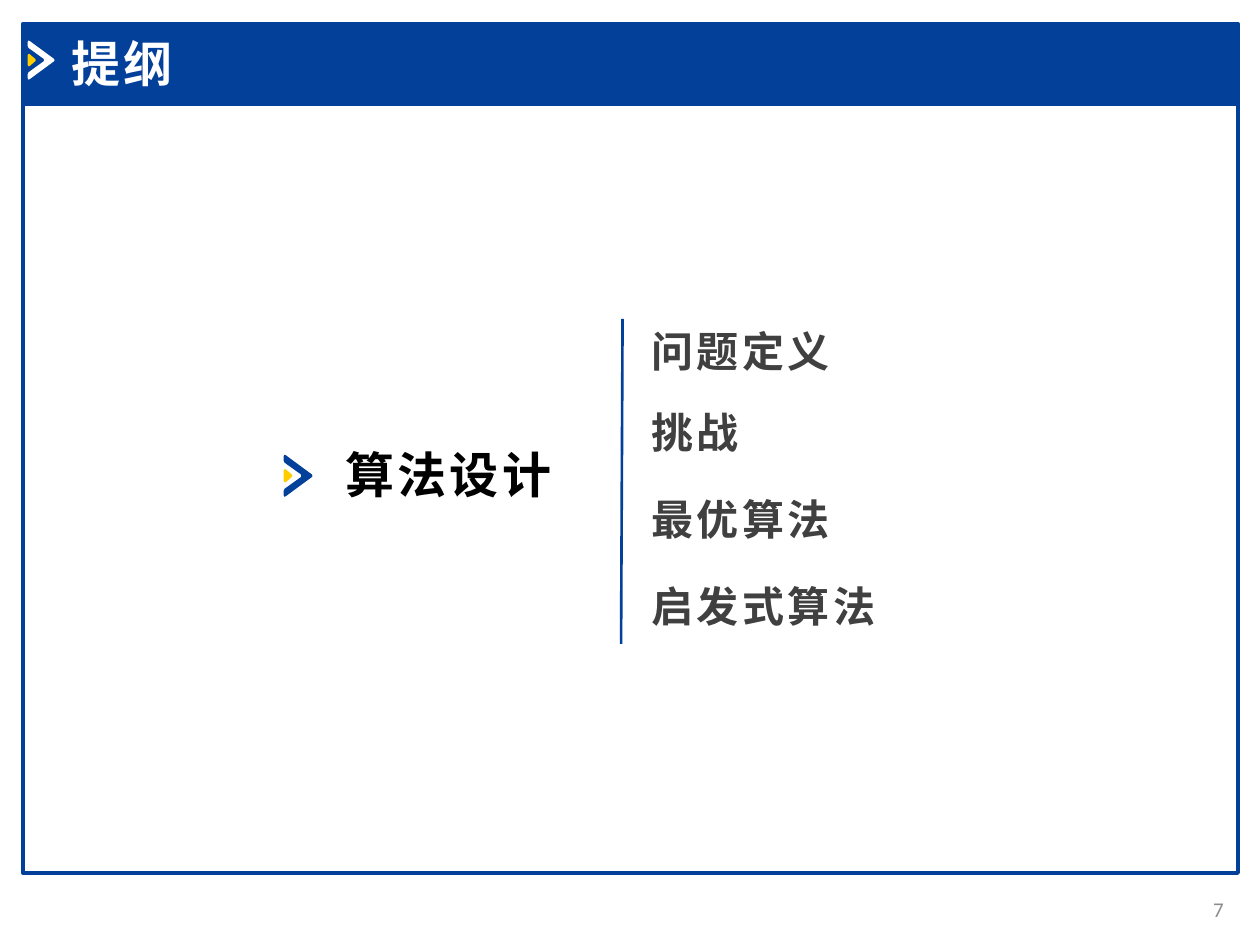
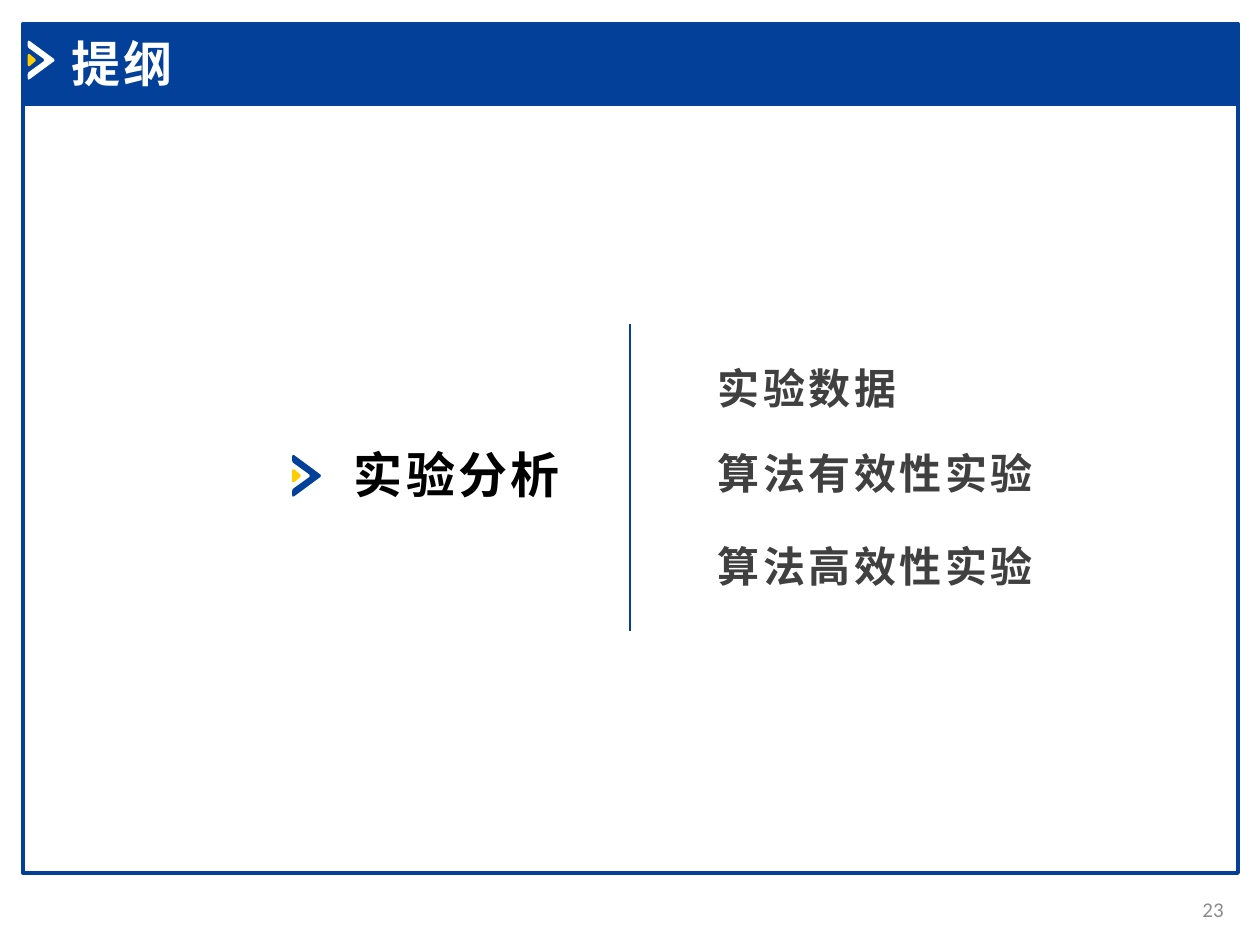
from lxml import etree
from pptx import Presentation
from pptx.dml.color import RGBColor
from pptx.enum.shapes import MSO_CONNECTOR, MSO_SHAPE
from pptx.enum.text import MSO_ANCHOR, MSO_AUTO_SIZE, PP_ALIGN
from pptx.oxml.ns import qn
from pptx.util import Cm, Pt

STRAIGHT = MSO_CONNECTOR.STRAIGHT
RECTANGLE = MSO_SHAPE.RECTANGLE
TOP, MIDDLE = MSO_ANCHOR.TOP, MSO_ANCHOR.MIDDLE
LEFT, RIGHT = PP_ALIGN.LEFT, PP_ALIGN.RIGHT
GROW, FIXED = MSO_AUTO_SIZE.SHAPE_TO_FIT_TEXT, MSO_AUTO_SIZE.NONE

COLORS = {
    "blue": "02409A",
    "yellow": "FFCC00",
    "white": "FFFFFF",
    "heading": "000000",
    "item": "404040",
    "number": "8C8C8C",
}
LATIN_FONT = "Calibri"
CHINESE_FONT = "Noto Sans CJK SC"

TITLE = "提纲"
OUTLINES = [
    {
        "number": "7",
        "heading": ("算法设计", 6.71, 5.46),
        "divider": (12.55, 6.43, 12.52, 12.98),
        "items_left": 12.88,
        "items": [
            ("问题定义", 6.43, 8.92),
            ("挑战", 8.08, 8.92),
            ("最优算法", 9.83, 8.92),
            ("启发式算法", 11.58, 11.07),
        ],
    },
    {
        "number": "23",
        "heading": ("实验分析", 6.88, 5.99),
        "divider": (12.7, 6.53, 12.7, 12.73),
        "items_left": 14.22,
        "items": [
            ("实验数据", 7.19, 6.55),
            ("算法有效性实验", 8.89, 7.06),
            ("算法高效性实验", 10.77, 7.06),
        ],
    },
]

FRAME_LEFT, FRAME_WIDTH = 0.46, 24.5
BAND_TOP, BAND_HEIGHT, BODY_HEIGHT = 0.48, 1.63, 15.49
HEADING_TOP, HEADING_HEIGHT, ITEM_HEIGHT = 8.84, 1.45, 1.27
MARKER_TOP, MARKER_GAP = 9.17, 0.99

MARKER_UNITS = 100
CHEVRON = [
    (0, 5), (2, 0), (7, 1), (98, 68), (100, 73), (98, 77), (7, 144), (2, 145),
    (0, 140), (0, 125), (3, 118), (60, 77), (61, 73), (60, 68), (3, 27), (0, 20),
]
DOT = [(0, 54), (2, 50), (7, 50), (28, 68), (30, 73), (28, 77), (7, 95), (2, 95), (0, 91)]


def color(name):
    return RGBColor.from_string(COLORS[name])


def add_frame_part(slide, top, height, filled):
    shape = slide.shapes.add_shape(
        RECTANGLE, Cm(FRAME_LEFT), Cm(top), Cm(FRAME_WIDTH), Cm(height))
    shape.shadow.inherit = False
    if filled:
        shape.fill.solid()
        shape.fill.fore_color.rgb = color("blue")
    else:
        shape.fill.background()
    shape.line.color.rgb = color("blue")
    shape.line.width = Pt(2)


def add_marker(slide, left, top, width, chevron_color):
    for points, fill in ((CHEVRON, chevron_color), (DOT, "yellow")):
        builder = slide.shapes.build_freeform(*points[0], scale=Cm(width) / MARKER_UNITS)
        builder.add_line_segments(points[1:], close=True)
        shape = builder.convert_to_shape(Cm(left), Cm(top))
        shape.shadow.inherit = False
        shape.fill.solid()
        shape.fill.fore_color.rgb = color(fill)
        shape.line.fill.background()


def add_text(slide, text, box, size, font_color, font=CHINESE_FONT,
             bold=True, align=LEFT, anchor=TOP, auto_size=GROW):
    text_frame = slide.shapes.add_textbox(*map(Cm, box)).text_frame
    text_frame.word_wrap = True
    text_frame.auto_size = auto_size
    text_frame.vertical_anchor = anchor
    paragraph = text_frame.paragraphs[0]
    paragraph.alignment = align
    run = paragraph.add_run()
    run.text = text
    run.font.size = Pt(size)
    run.font.bold = bold
    run.font.color.rgb = color(font_color)
    run.font.name = font
    properties = run.font._element
    etree.SubElement(properties, qn("a:ea")).set("typeface", CHINESE_FONT)
    if bold:
        properties.set("spc", "200")


def add_divider(slide, ends):
    connector = slide.shapes.add_connector(STRAIGHT, *map(Cm, ends))
    connector.line.color.rgb = color("blue")
    connector.line.width = Pt(1.5)
    etree.SubElement(connector._element.spPr, qn("a:effectLst"))


def add_page(slide, number):
    add_frame_part(slide, BAND_TOP + BAND_HEIGHT, BODY_HEIGHT, False)
    add_frame_part(slide, BAND_TOP, BAND_HEIGHT, True)
    add_marker(slide, 0.56, 0.82, 0.54, "white")
    add_text(slide, number, (23.42, 17.81, 1.5, 1.02), 12, "number", LATIN_FONT,
             bold=False, align=RIGHT, anchor=MIDDLE, auto_size=FIXED)
    add_text(slide, TITLE, (1.19, 0.56, 9.04, HEADING_HEIGHT), 28, "white", LATIN_FONT)


def add_outline(slide, outline):
    heading, left, width = outline["heading"]
    add_text(slide, heading, (left, HEADING_TOP, width, HEADING_HEIGHT), 28, "heading")
    add_marker(slide, left - MARKER_GAP, MARKER_TOP, 0.58, "blue")
    add_divider(slide, outline["divider"])
    for text, top, item_width in outline["items"]:
        add_text(slide, text, (outline["items_left"], top, item_width, ITEM_HEIGHT), 24, "item")


def main():
    presentation = Presentation()
    presentation.slide_width = Cm(25.4)
    presentation.slide_height = Cm(19.05)
    blank_layout = presentation.slide_layouts[6]
    for outline in OUTLINES:
        slide = presentation.slides.add_slide(blank_layout)
        add_page(slide, outline["number"])
        add_outline(slide, outline)
    presentation.save("out.pptx")


if __name__ == "__main__":
    main()
